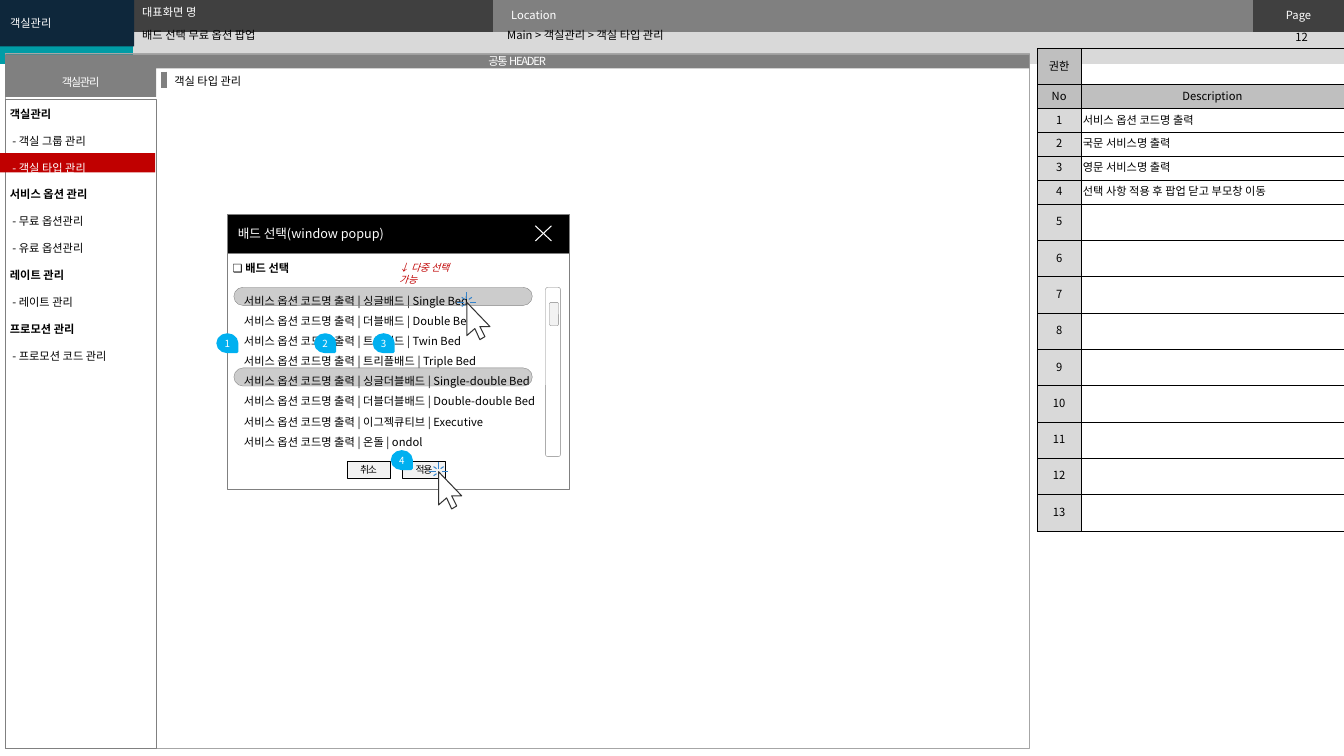
from lxml.etree import SubElement
from pptx import Presentation
from pptx.dml.color import RGBColor
from pptx.enum.shapes import MSO_CONNECTOR, MSO_SHAPE as SHAPE
from pptx.enum.text import MSO_ANCHOR as ANCHOR, PP_ALIGN as ALIGN
from pptx.oxml.ns import qn
from pptx.util import Inches, Pt

FONT = "Noto Sans CJK KR"
BLACK, WHITE, GRAY, RED, CYAN = "000000", "FFFFFF", "808080", "C00000", "00B0F0"
DARK, MID, PALE, BUTTON = "404040", "BFBFBF", "D9D9D9", "F2F2F2"
WIDTH, HEIGHT = 13.33, 7.5
BAND = 0.24                              # height of one header row
PAGE_LEFT, PAGE_TOP, PAGE_WIDTH, PAGE_BOTTOM = 0.05, 0.53, 10.16, 7.42
NAV_WIDTH, NAV_TOP = 1.5, 0.98
POPUP_LEFT, POPUP_TOP, POPUP_WIDTH = 2.26, 2.13, 3.39
OPTION_TOP, OPTION_PITCH = 2.85, 0.2

NAV = [("객실관리", ["객실 그룹 관리", "객실 타입 관리"]),
       ("서비스 옵션 관리", ["무료 옵션관리", "유료 옵션관리"]),
       ("레이트 관리", ["레이트 관리"]),
       ("프로모션 관리", ["프로모션 코드 관리"])]
BEDS = [("싱글배드", "Single Bed"), ("더블배드", "Double Bed"), ("트윈배드", "Twin Bed"),
        ("트리플배드", "Triple Bed"), ("싱글더블배드", "Single-double Bed"),
        ("더블더블배드", "Double-double Bed"), ("이그젝큐티브", "Executive"), ("온돌", "ondol")]
DESCRIPTIONS = ["서비스 옵션 코드명 출력", "국문 서비스명 출력", "영문 서비스명 출력",
                "선택 사항 적용 후 팝업 닫고 부모창 이동"]
DESCRIPTION_COUNT = 13

# Offsets from the tip of the mouse pointer
POINTER = [(0.18, 0.34), (0.13, 0.24), (0.23, 0.24), (0, 0),
           (0, 0.33), (0.08, 0.26), (0.13, 0.37)]
CLICK_RAYS = [[(-0.02, 0.02), (-0.05, 0.04)], [(-0.02, -0.03), (-0.05, -0.05)],
              [(0.02, -0.03), (0.05, -0.05)], [(-0.03, 0), (-0.1, 0)],
              [(0, -0.03), (0, -0.1)], [(0.03, 0), (0.09, 0)]]
CLOSE_CROSS = [[(0.16, 0), (0, 0.15)], [(0, 0), (0.16, 0.15)]]


def rgb(code):
    return RGBColor.from_string(code)


def box(left, top, width, height):
    return [Inches(value) for value in (left, top, width, height)]


def write(frame, text, size=8, color=BLACK, bold=False, italic=False, align=ALIGN.LEFT,
          anchor=ANCHOR.MIDDLE, inset=(0.1, 0.05), spread=1, tracking=0, plain=False):
    """Fill a frame; text is a string or a list of (string, overrides) lines."""
    frame.vertical_anchor = anchor
    if hasattr(frame, "word_wrap"):
        frame.word_wrap = True
    frame.margin_left = frame.margin_right = Inches(inset[0])
    frame.margin_top = frame.margin_bottom = Inches(inset[1])
    frame = getattr(frame, "text_frame", frame)
    lines = [(text, {})] if isinstance(text, str) else text
    for number, (words, changes) in enumerate(lines):
        paragraph = frame.add_paragraph() if number else frame.paragraphs[0]
        if plain:
            properties = paragraph._p.get_or_add_pPr()
            properties.set("marL", "0")
            properties.set("indent", "0")
            SubElement(properties, qn("a:buNone"))
        paragraph.alignment = align
        paragraph.space_before = Pt(0)
        paragraph.line_spacing = Pt(round(1.2 * size * spread, 1))
        run = paragraph.add_run()
        run.text = words
        font = run.font
        font.size, font.name, font.italic = Pt(size), FONT, italic
        font.bold = changes.get("bold", bold)
        font.color.rgb = rgb(changes.get("color", color))
        properties = run._r.get_or_add_rPr()
        SubElement(properties, qn("a:ea"), typeface=FONT)
        if tracking:
            properties.set("spc", str(round(tracking * 100)))


def paint(shape, fill=None, line=None, weight=0.25, opacity=None):
    shape.shadow.inherit = False
    if fill:
        shape.fill.solid()
        shape.fill.fore_color.rgb = rgb(fill)
        if opacity:
            tint = shape.fill._xPr.find(f".//{qn('a:srgbClr')}")
            SubElement(tint, qn("a:alpha"), val=str(opacity * 1000))
    else:
        shape.fill.background()
    if line:
        shape.line.color.rgb = rgb(line)
        shape.line.width = Pt(weight)
    else:
        shape.line.fill.background()


def block(slide, area, text=None, kind=SHAPE.RECTANGLE, fill=None, line=None,
          weight=0.25, opacity=None, **style):
    shape = slide.shapes.add_shape(kind, *box(*area))
    paint(shape, fill, line, weight, opacity)
    if text:
        write(shape.text_frame, text, **style)
    return shape


def label(slide, area, text, **style):
    write(slide.shapes.add_textbox(*box(*area)).text_frame, text, **style)


def outline(slide, origin, strokes, closed=False, fill=None, line=BLACK):
    points = [[(Inches(origin[0] + x), Inches(origin[1] + y)) for x, y in stroke]
              for stroke in strokes]
    builder = slide.shapes.build_freeform(*points[0][0])
    for number, (start, *rest) in enumerate(points):
        if number:
            builder.move_to(*start)
        builder.add_line_segments(rest, close=closed)
    paint(builder.convert_to_shape(), fill, line, 0.75)


def table(slide, area, columns, rows):
    grid = slide.shapes.add_table(rows, len(columns), *box(*area)).table
    grid.first_row = grid.horz_banding = False
    for column, width in zip(grid.columns, columns):
        column.width = Inches(width)
    return grid


def cell(target, text="", fill=None, border=None, **style):
    properties = target._tc.get_or_add_tcPr()
    for side in ("a:lnL", "a:lnR", "a:lnT", "a:lnB"):
        edge = SubElement(properties, qn(side), w=str(Pt(0.5)))
        paint_tag = SubElement(edge, qn("a:solidFill" if border else "a:noFill"))
        if border:
            SubElement(paint_tag, qn("a:srgbClr"), val=border)
    if fill:
        target.fill.solid()
        target.fill.fore_color.rgb = rgb(fill)
    else:
        target.fill.background()
    write(target, text, **style)


def heading(holder, area, text, **style):
    """Move a placeholder, bring it forward and fill it."""
    holder.left, holder.top, holder.width, holder.height = box(*area)
    holder.element.getparent().append(holder.element)
    write(holder.text_frame, text, inset=(0.1, 0), plain=True, **style)


def header(slide):
    bar = table(slide, (0, 0, WIDTH, 2 * BAND), (1.32, 3.57, 7.54, 0.9), 2)
    bar.cell(0, 0).merge(bar.cell(1, 0))
    cell(bar.cell(0, 0), fill="009CA6", inset=(0.18, 0.02))
    titles = [("", DARK, ALIGN.LEFT), ("Location", GRAY, ALIGN.LEFT), ("Page", DARK, ALIGN.CENTER)]
    for column, (title, fill, align) in enumerate(titles, 1):
        cell(bar.cell(0, column), title, fill, color=WHITE, align=align, inset=(0.18, 0.02))
        cell(bar.cell(1, column), fill=PALE, inset=(0.18, 0.02))
    label(slide, (12.49, 0.25, 0.84, BAND), "12", align=ALIGN.CENTER)

    holders = {item.placeholder_format.idx: item for item in slide.placeholders}
    heading(holders[0], (1.31, 0.24, 3.63, 0.22), "배드 선택 무료 옵션 팝업")
    heading(holders[1], (4.93, 0.23, 7.38, BAND), "Main > 객실관리 > 객실 타입 관리")
    heading(holders[2], (1.31, 0, 3.62, BAND), "대표화면 명", color=WHITE)
    heading(holders[3], (0, 0, 1.33, 0.46), "객실관리", color=WHITE)
    holders[3].fill.solid()
    holders[3].fill.fore_color.rgb = rgb("0E273B")
    holders[4].element.getparent().remove(holders[4].element)


def page_frame(slide):
    block(slide, (PAGE_LEFT, PAGE_TOP, PAGE_WIDTH, PAGE_BOTTOM - PAGE_TOP), line="A6A6A6")
    block(slide, (PAGE_LEFT, NAV_TOP, NAV_WIDTH, PAGE_BOTTOM - NAV_TOP), line=GRAY)
    for area, text in [((PAGE_LEFT, 0.54, PAGE_WIDTH, 0.14), "공통 HEADER"),
                       ((PAGE_LEFT, 0.67, NAV_WIDTH, 0.29), "객실관리")]:
        block(slide, area, text, fill=GRAY, color=WHITE, align=ALIGN.CENTER,
              inset=(0.04, 0), tracking=-0.9)
    label(slide, (1.63, 0.68, 2.41, BAND), "객실 타입 관리")
    marker = slide.shapes.add_connector(
        MSO_CONNECTOR.STRAIGHT, Inches(1.63), Inches(0.71), Inches(1.63), Inches(0.87))
    marker.line.color.rgb, marker.line.width = rgb(GRAY), Pt(4.5)
    SubElement(marker.element.spPr, qn("a:effectLst"))


def navigation(slide, current="객실 타입 관리"):
    block(slide, (0, 1.52, 1.54, 0.19), fill=RED)
    lines = []
    for group, pages in NAV:
        lines.append((group, {"bold": True}))
        lines += [(f" - {page}", {"color": WHITE if page == current else BLACK}) for page in pages]
    label(slide, (0, 0.88, 1.58, 2.75), lines, spread=2, anchor=ANCHOR.TOP)


def description_table(slide):
    rows = DESCRIPTION_COUNT + 2
    grid = table(slide, (10.29, 0.48, 3.04, 3.56), (0.43, 2.61), rows)
    texts = DESCRIPTIONS + [""] * (DESCRIPTION_COUNT - len(DESCRIPTIONS))
    entries = [("권한", ""), ("No", "Description")]
    entries += [(str(number), text) for number, text in enumerate(texts, 1)]
    for row, (key, text) in enumerate(entries):
        title = row == 1
        cell(grid.cell(row, 0), key, MID if row < 2 else PALE, BLACK,
             align=ALIGN.CENTER, inset=(0.02, 0.03))
        cell(grid.cell(row, 1), text, MID if title else None, BLACK,
             align=ALIGN.CENTER if title else ALIGN.LEFT, inset=(0.02, 0.03))


def popup(slide):
    block(slide, (POPUP_LEFT, POPUP_TOP + 0.38, POPUP_WIDTH, 2.35), fill=WHITE, line=GRAY, weight=0.5)
    block(slide, (POPUP_LEFT, POPUP_TOP, POPUP_WIDTH, 0.38), "배드 선택(window popup)",
          fill=BLACK, line=GRAY, weight=0.5, size=9, color=WHITE)
    outline(slide, (5.31, 2.24), CLOSE_CROSS, line=WHITE)
    label(slide, (2.21, 2.54, 2.54, BAND), "❏ 배드 선택", bold=True)
    for left, text in [(3.44, "취소"), (3.99, "적용")]:
        block(slide, (left, 4.58, 0.43, 0.16), text, fill=BUTTON, line=BLACK, size=7,
              align=ALIGN.CENTER, inset=(0, 0), tracking=-0.9)
    # Options and scroll bar
    options = [(f"서비스 옵션 코드명 출력 | {korean} | {english}", {}) for korean, english in BEDS]
    block(slide, (2.34, OPTION_TOP - 0.04, 3.23, 1.73), options, fill=WHITE,
          anchor=ANCHOR.TOP, inset=(0.08, 0.04), spread=1.5)
    block(slide, (5.45, 3, 0.09, 0.23), kind=SHAPE.ROUNDED_RECTANGLE, fill=BUTTON, line=GRAY)
    block(slide, (5.41, OPTION_TOP, 0.15, 1.68), kind=SHAPE.ROUNDED_RECTANGLE, line=GRAY)
    for row in (0, 4):
        chosen = block(slide, (2.32, OPTION_TOP + row * OPTION_PITCH, 2.96, 0.18),
                       kind=SHAPE.ROUNDED_RECTANGLE, fill=BLACK, line=GRAY, opacity=20)
        chosen.adjustments[0] = 0.5
    label(slide, (3.86, 2.55, 0.89, 0.22), "↓ 다중 선택 가능", size=7, color=RED,
          italic=True, anchor=ANCHOR.TOP)


def annotations(slide):
    for tip in [(4.63, 3), (4.35, 4.68)]:
        outline(slide, tip, [POINTER], closed=True, fill=WHITE, line="333333")
        outline(slide, tip, CLICK_RAYS, line="3483CB")
    spots = [(2.17, 3.31), (3.14, 3.31), (3.72, 3.31), (3.9, 4.47)]
    for number, (left, top) in enumerate(spots, 1):
        callout = block(slide, (left, top, 0.17, 0.19), str(number), kind=SHAPE.TEAR, fill=CYAN,
                        line=CYAN, weight=2, size=7, color=WHITE, align=ALIGN.CENTER, inset=(0, 0))
        callout.rotation = 90
        callout.text_frame._txBody.bodyPr.set("vert", "vert270")


def main():
    deck = Presentation()
    deck.slide_width, deck.slide_height = Inches(WIDTH), Inches(HEIGHT)
    slide = deck.slides.add_slide(deck.slide_layouts.get_by_name("Comparison"))
    for part in (header, page_frame, description_table, popup, annotations, navigation):
        part(slide)
    deck.save("out.pptx")


if __name__ == "__main__":
    main()
